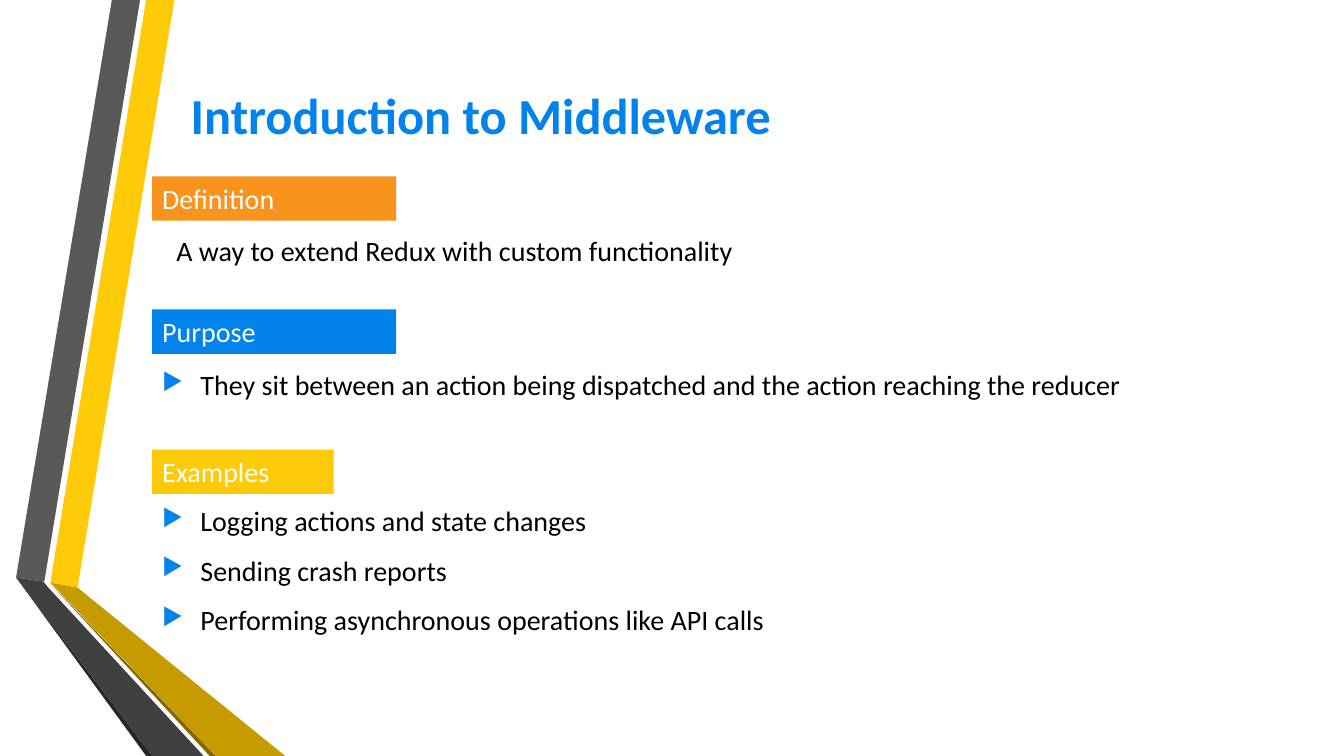
from lxml.etree import SubElement
from pptx import Presentation
from pptx.dml.color import RGBColor
from pptx.enum.shapes import MSO_SHAPE
from pptx.enum.text import MSO_ANCHOR, MSO_AUTO_SIZE, PP_ALIGN
from pptx.oxml.ns import qn
from pptx.util import Inches, Pt

FONT = "Calibri"
BLUE = RGBColor(0x02, 0x82, 0xEB)
ORANGE = RGBColor(0xF8, 0x93, 0x1D)
YELLOW = RGBColor(0xFF, 0xCA, 0x08)
GOLD = RGBColor(0xC5, 0x9B, 0x00)
DARK_GOLD = RGBColor(0x84, 0x67, 0x00)
GREY = RGBColor(0x59, 0x59, 0x59)
DARK_GREY = RGBColor(0x40, 0x40, 0x40)
CHARCOAL = RGBColor(0x26, 0x26, 0x26)
WHITE = RGBColor(0xFF, 0xFF, 0xFF)
BLACK = RGBColor(0x00, 0x00, 0x00)

ROW_HEIGHT = 0.44
LINE_STEP = 0.49
BULLET_INDENT = 0.38

RIBBON_FACES = [
    (YELLOW, [(0.34, 5.78), (0.61, 5.83), (1.57, 0), (1.29, 0)]),
    (GREY, [(1.23, 0), (0.95, 0), (0, 5.73), (0.28, 5.77)]),
    (CHARCOAL, [(0, 5.73), (1.29, 7.5), (1.35, 7.5)]),
    (DARK_GOLD, [(0.34, 5.79), (1.92, 7.5), (1.98, 7.5)]),
    (GOLD, [(0.34, 5.78), (1.98, 7.5), (2.67, 7.5), (0.61, 5.83)]),
    (DARK_GREY, [(1.86, 7.5), (0.32, 5.83), (0.27, 5.77), (0, 5.73), (1.35, 7.5)]),
]


def fill_shape(shape, colour):
    """Give a shape a plain fill without line or shadow."""
    shape.shadow.inherit = False
    shape.fill.solid()
    shape.fill.fore_color.rgb = colour
    shape.line.fill.background()


def add_text(paragraph, text, size, colour, bold=False):
    """Add one formatted run to a paragraph."""
    run = paragraph.add_run()
    run.text = text
    run.font.name = FONT
    run.font.size = Pt(size)
    run.font.bold = bold
    run.font.color.rgb = colour


def add_bullet(paragraph):
    """Give a paragraph a blue triangle with a hanging indent."""
    properties = paragraph._p.get_or_add_pPr()
    properties.set("marL", str(Inches(BULLET_INDENT)))
    properties.set("indent", str(-Inches(BULLET_INDENT)))
    colour = SubElement(properties, qn("a:buClr"))
    SubElement(colour, qn("a:srgbClr"), val=str(BLUE))
    SubElement(properties, qn("a:buSzPct"), val="85000")
    SubElement(properties, qn("a:buChar"), char="▶")


def draw_ribbons(slide, left, top):
    """Draw the folded ribbons from their top left corner."""
    for colour, corners in RIBBON_FACES:
        points = [(Inches(left + x), Inches(top + y)) for x, y in corners]
        builder = slide.shapes.build_freeform(*points[0])
        builder.add_line_segments(points[1:], close=True)
        fill_shape(builder.convert_to_shape(), colour)


def draw_title(slide, left, top, width, height):
    """Place and format the title placeholder."""
    title = slide.shapes.title
    title.left, title.top = Inches(left), Inches(top)
    title.width, title.height = Inches(width), Inches(height)
    frame = title.text_frame
    frame.vertical_anchor = MSO_ANCHOR.MIDDLE
    paragraph = frame.paragraphs[0]
    paragraph.alignment = PP_ALIGN.CENTER
    add_text(paragraph, "Introduction to Middleware", 36, BLUE, bold=True)


def draw_label(slide, left, top, width, text, colour):
    """Draw the coloured heading of a section."""
    label = slide.shapes.add_shape(
        MSO_SHAPE.RECTANGLE, Inches(left), Inches(top), Inches(width), Inches(ROW_HEIGHT))
    fill_shape(label, colour)
    frame = label.text_frame
    frame.vertical_anchor = MSO_ANCHOR.TOP
    frame.auto_size = MSO_AUTO_SIZE.SHAPE_TO_FIT_TEXT
    paragraph = frame.paragraphs[0]
    paragraph.alignment = PP_ALIGN.LEFT
    add_text(paragraph, text, 20, WHITE)


def draw_lines(slide, left, top, lines, bulleted=True):
    """Stack the text lines of a section, each with its own width."""
    for index, (text, width) in enumerate(lines):
        box = slide.shapes.add_textbox(
            Inches(left), Inches(top + index * LINE_STEP), Inches(width), Inches(ROW_HEIGHT))
        frame = box.text_frame
        frame.word_wrap = True
        frame.auto_size = MSO_AUTO_SIZE.SHAPE_TO_FIT_TEXT
        paragraph = frame.paragraphs[0]
        if bulleted:
            add_bullet(paragraph)
        add_text(paragraph, text, 20, BLACK)


def draw_sections(slide, left, top):
    """Draw the three sections below one another."""
    draw_label(slide, left, top, 2.42, "Definition", ORANGE)
    draw_lines(slide, left + 0.14, top + 0.52, [
        ("A way to extend Redux with custom functionality", 5.88)], bulleted=False)
    draw_label(slide, left, top + 1.32, 2.42, "Purpose", BLUE)
    draw_lines(slide, left, top + 1.85, [
        ("They sit between an action being dispatched and the action reaching the reducer", 9.82)])
    draw_label(slide, left, top + 2.71, 1.8, "Examples", YELLOW)
    draw_lines(slide, left, top + 3.2, [
        ("Logging actions and state changes", 4.66),
        ("Sending crash reports", 3.14),
        ("Performing asynchronous operations like API calls", 8.21)])


def main():
    """Build the slide and save it."""
    presentation = Presentation()
    presentation.slide_width = Inches(13.33)
    presentation.slide_height = Inches(7.5)
    slide = presentation.slides.add_slide(presentation.slide_layouts[5])
    draw_ribbons(slide, 0.16, 0)
    draw_title(slide, 1.65, 0.74, 6.24, 0.78)
    draw_sections(slide, 1.51, 1.75)
    presentation.save("out.pptx")


if __name__ == "__main__":
    main()
